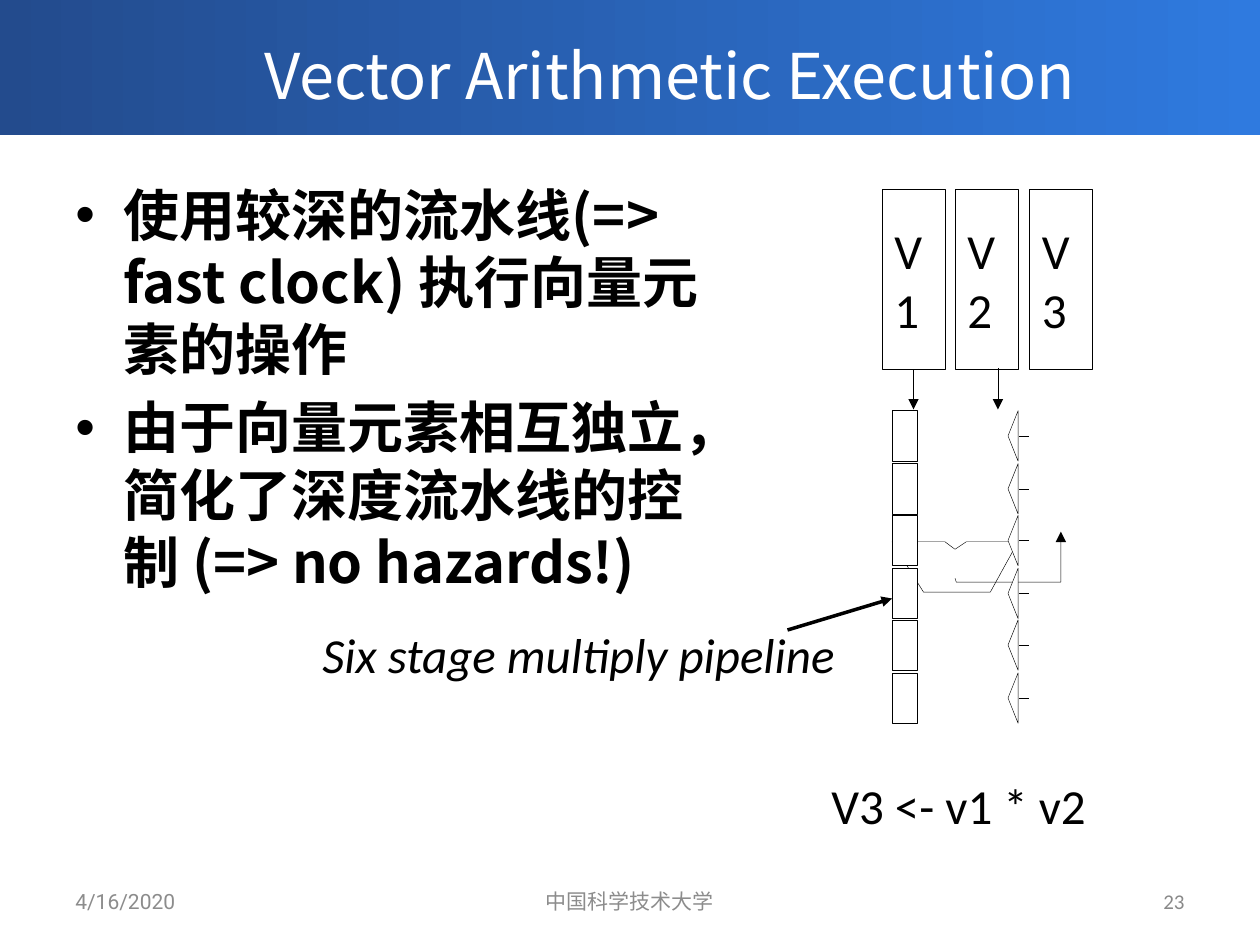
from lxml import etree
from pptx import Presentation
from pptx.dml.color import RGBColor
from pptx.enum.shapes import MSO_CONNECTOR, MSO_SHAPE
from pptx.enum.text import MSO_ANCHOR, MSO_AUTO_SIZE, PP_ALIGN
from pptx.oxml.ns import qn
from pptx.util import Pt

PX = 9144
RECT, STRAIGHT = MSO_SHAPE.RECTANGLE, MSO_CONNECTOR.STRAIGHT
TOP, MIDDLE = MSO_ANCHOR.TOP, MSO_ANCHOR.MIDDLE
LEFT, CENTER, RIGHT = PP_ALIGN.LEFT, PP_ALIGN.CENTER, PP_ALIGN.RIGHT
FIT = MSO_AUTO_SIZE.SHAPE_TO_FIT_TEXT
BLACK, WHITE = RGBColor(0, 0, 0), RGBColor(255, 255, 255)
NAVY, BLUE = RGBColor(0x23, 0x4B, 0x8D), RGBColor(0x2F, 0x7A, 0xDF)
GRAY, PAGE_GRAY = RGBColor(0x8C, 0x8C, 0x8C), RGBColor(0x89, 0x89, 0x89)
NOTO, CALIBRI, ROBOTO = "Noto Sans CJK SC", "Calibri", "Roboto"
BULLETS = (
    "使用较深的流水线(=> fast clock) 执行向量元素的操作",
    "由于向量元素相互独立，简化了深度流水线的控制 (=> no hazards!)",
)
STAGES, STAGE_TOP, STAGE_PITCH, STAGE_H = 6, 326, 41.6, 40


def px(*values):
    """Turn lengths in px into EMU."""
    return [round(v * PX) for v in values]


def style(p, size, font, color=BLACK, align=LEFT):
    """Set the font and alignment of a paragraph."""
    p.alignment = align
    p.font.size, p.font.name, p.font.color.rgb = Pt(size), font, color
    for r in p.runs:
        ea = etree.SubElement(r._r.get_or_add_rPr(), qn("a:ea"))
        ea.set("typeface", NOTO)


def add_text(s, box, text, size, font, color=BLACK, align=LEFT, anchor=MIDDLE, wrap=True):
    """Add a one-paragraph text box and return the paragraph."""
    tf = s.shapes.add_textbox(*px(*box)).text_frame
    tf.word_wrap, tf.vertical_anchor = wrap, anchor
    if not wrap:
        tf.auto_size = FIT
    p = tf.paragraphs[0]
    p.text = text
    style(p, size, font, color, align)
    return p


def add_bullets(s, box, texts):
    """Add the bold bulleted list."""
    tf = s.shapes.add_textbox(*px(*box)).text_frame
    tf.word_wrap = True
    for i, text in enumerate(texts):
        p = tf.paragraphs[0] if i == 0 else tf.add_paragraph()
        p.text = text
        style(p, 32, NOTO)
        p.font.bold = True
        p.space_before = Pt(6.4)
        pPr = p._p.get_or_add_pPr()
        indent = px(38)[0]
        pPr.set("marL", str(indent))
        pPr.set("indent", str(-indent))
        font = etree.Element(qn("a:buFont"), typeface="Arial")
        char = etree.Element(qn("a:buChar"), char="•")
        pPr.find(qn("a:defRPr")).addprevious(font)
        font.addnext(char)


def outline(sp, fill=None):
    """Give a shape a thin black line and an optional fill."""
    sp.shadow.inherit = False
    if fill is None:
        sp.fill.background()
    else:
        sp.fill.solid()
        sp.fill.fore_color.rgb = fill
    sp.line.color.rgb, sp.line.width = BLACK, Pt(0.25)
    return sp


def add_arrowhead(sp):
    """Put a triangle at the end of a line."""
    etree.SubElement(sp.line._get_or_add_ln(), qn("a:tailEnd"), type="triangle")


def add_rect(s, box, fill=None):
    """Add an outlined rectangle."""
    return outline(s.shapes.add_shape(RECT, *px(*box)), fill)


def add_outline(s, points, fill=None, close=True):
    """Add a freeform through the points."""
    start, *rest = [px(*pt) for pt in points]
    fb = s.shapes.build_freeform(*start)
    fb.add_line_segments(rest, close=close)
    return outline(fb.convert_to_shape(), fill)


def add_line(s, ends, width=0.25, arrow=False):
    """Add a straight black connector."""
    c = s.shapes.add_connector(STRAIGHT, *px(*ends))
    c.line.color.rgb, c.line.width = BLACK, Pt(width)
    if arrow:
        add_arrowhead(c)
    etree.SubElement(c._element.spPr, qn("a:effectLst"))
    return c


def add_stage(s, top):
    """Add one pipeline stage: register, clock notch and tick."""
    mid, bottom = top + STAGE_H // 2, top + STAGE_H
    add_rect(s, (708, top, 20, STAGE_H), WHITE)
    add_outline(s, [(808, bottom), (800, mid), (808, top)], WHITE)
    add_line(s, (809, mid, 817, mid))


def add_register(s, left, name):
    """Add a vector register box."""
    sp = add_rect(s, (left, 150, 50, 143))
    tf = sp.text_frame
    tf.word_wrap, tf.vertical_anchor = True, MIDDLE
    p = tf.paragraphs[0]
    p.text = name
    style(p, 28, CALIBRI)
    return sp


def add_banner(s):
    """Add the gradient title band."""
    sp = s.shapes.add_shape(RECT, *px(0, 0, 1000, 107))
    sp.shadow.inherit = False
    sp.line.fill.background()
    sp.fill.gradient()
    sp.fill.gradient_angle = 0
    for stop, color in zip(sp.fill.gradient_stops, (NAVY, BLUE)):
        stop.color.rgb = color


def add_pipeline(s):
    """Add the registers, the multiplier and its stages."""
    add_outline(s, [(708, 430), (733, 470), (786, 470), (808, 430),
                    (767, 430), (758, 436), (750, 430)])
    result = add_outline(s, [(758, 459), (759, 462), (842, 462), (842, 422)], close=False)
    add_arrowhead(result)
    for i in range(STAGES):
        add_stage(s, round(STAGE_TOP + i * STAGE_PITCH))
    v1, _, _ = [add_register(s, left, name)
                for left, name in ((700, "V1"), (758, "V2"), (817, "V3"))]
    add_line(s, (725, 293, 725, 325), arrow=True).begin_connect(v1, 2)
    add_line(s, (792, 292, 792, 325), arrow=True)
    add_line(s, (625, 500, 708, 475), width=2, arrow=True)


def main():
    """Build and save the slide."""
    prs = Presentation()
    prs.slide_width, prs.slide_height = px(1000, 750)
    s = prs.slides.add_slide(prs.slide_layouts[6])
    add_banner(s)
    add_text(s, (113, 16, 837, 86), "Vector Arithmetic Execution", 36, NOTO, WHITE, CENTER)
    add_bullets(s, (50, 138, 545, 552), BULLETS)
    add_text(s, (50, 695, 233, 40), "4/16/2020", 12, ROBOTO, GRAY)
    add_text(s, (342, 695, 316, 40), "中国科学技术大学", 12, ROBOTO, GRAY, CENTER)
    add_text(s, (717, 695, 233, 40), "23", 12, CALIBRI, PAGE_GRAY, RIGHT)
    add_pipeline(s)
    add_text(s, (650, 610, 224, 57), "V3 <- v1 * v2", 28, CALIBRI, wrap=False)
    label = add_text(s, (246, 491, 442, 57), "Six stage multiply pipeline", 28, CALIBRI,
                     anchor=TOP, wrap=False)
    label.font.italic = True
    prs.save("out.pptx")


if __name__ == "__main__":
    main()
